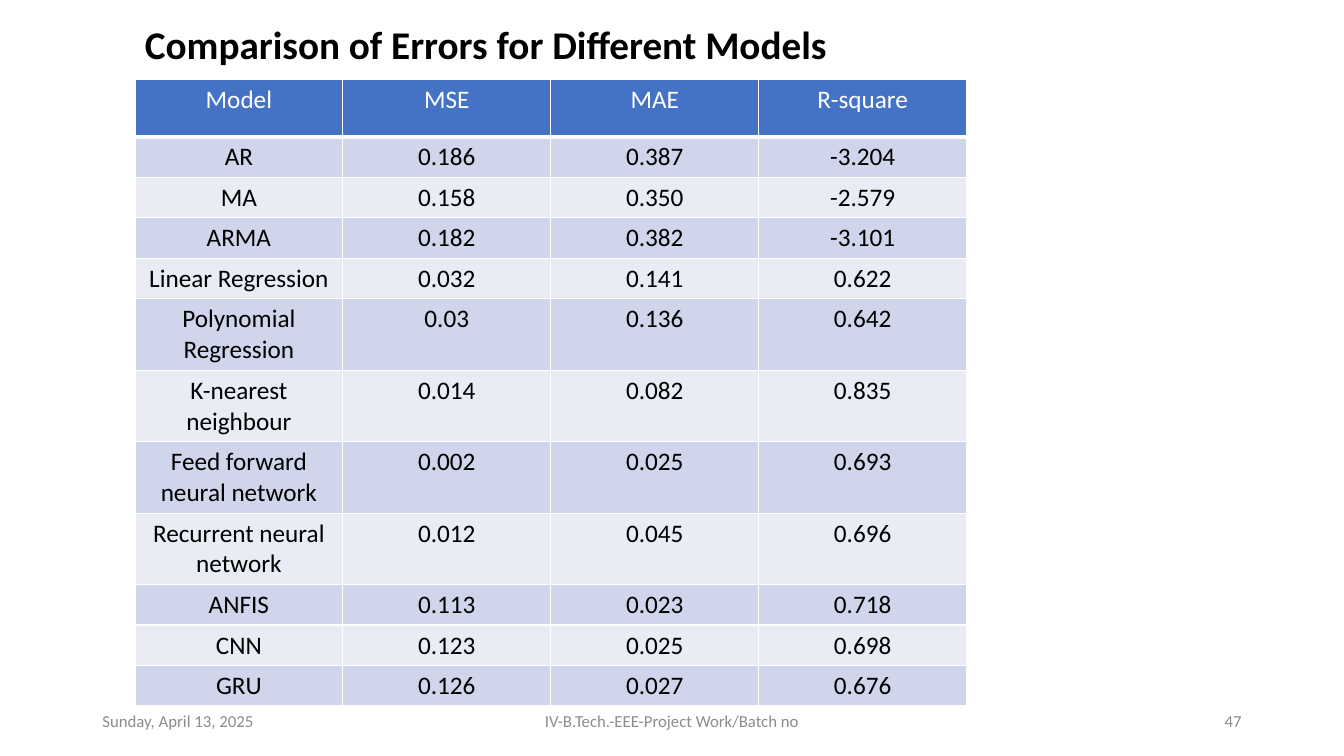
from typing import NamedTuple

from lxml import etree
from pptx import Presentation
from pptx.dml.color import RGBColor
from pptx.enum.text import MSO_ANCHOR, MSO_AUTO_SIZE, PP_ALIGN
from pptx.oxml.ns import qn
from pptx.util import Cm, Pt

LEFT, MID, RIGHT = PP_ALIGN.LEFT, PP_ALIGN.CENTER, PP_ALIGN.RIGHT
TOP, CENTRE = MSO_ANCHOR.TOP, MSO_ANCHOR.MIDDLE
FIT = MSO_AUTO_SIZE.SHAPE_TO_FIT_TEXT
FONT = "Calibri"
WHITE, BLACK, GREY = "FFFFFF", "000000", "8C8C8C"
BLUE, BANDS = "4472C4", ("CFD5EA", "E9EBF5")


class Note(NamedTuple):
    text: str
    left: float
    width: float
    align: PP_ALIGN


class Model(NamedTuple):
    name: str
    mse: str
    mae: str
    square: str
    lines: int = 1


NOTES = [
    Note("Sunday, April 13, 2025", 2.33, 7.62, LEFT),
    Note("IV-B.Tech.-EEE-Project Work/Batch no", 11.22, 11.43, MID),
    Note("47", 23.92, 7.62, RIGHT),
]
HEAD = Model("Model", "MSE", "MAE", "R-square")
MODELS = [
    Model("AR", "0.186", "0.387", "-3.204"),
    Model("MA", "0.158", "0.350", "-2.579"),
    Model("ARMA", "0.182", "0.382", "-3.101"),
    Model("Linear Regression", "0.032", "0.141", "0.622"),
    Model("Polynomial Regression", "0.03", "0.136", "0.642", 2),
    Model("K-nearest neighbour", "0.014", "0.082", "0.835", 2),
    Model("Feed forward neural network", "0.002", "0.025", "0.693", 2),
    Model("Recurrent neural network", "0.012", "0.045", "0.696", 2),
    Model("ANFIS", "0.113", "0.023", "0.718"),
    Model("CNN", "0.123", "0.025", "0.698"),
    Model("GRU", "0.126", "0.027", "0.676"),
]
HEIGHTS = {1: 1.02, 2: 1.8}


def paint(target, code: str) -> None:
    target.rgb = RGBColor.from_string(code)


def write(frame, text: str, size: float, code: str, align: PP_ALIGN,
          bold: bool = False) -> None:
    para = frame.paragraphs[0]
    para.alignment = align
    run = para.add_run()
    run.text = text
    run.font.name, run.font.size, run.font.bold = FONT, Pt(size), bold
    paint(run.font.color, code)


def edge(cell, base: float) -> None:
    """Draw white cell borders, the bottom one base points wide."""
    props = cell._tc.get_or_add_tcPr()
    for spot, (side, width) in enumerate(
            (("lnL", 1), ("lnR", 1), ("lnT", 1), ("lnB", base))):
        line = etree.Element(qn(f"a:{side}"), w=str(Pt(width)))
        fill = etree.SubElement(line, qn("a:solidFill"))
        etree.SubElement(fill, qn("a:srgbClr"), val=WHITE)
        props.insert(spot, line)


def draw_note(slide, note: Note) -> None:
    box = slide.shapes.add_textbox(
        Cm(note.left), Cm(17.65), Cm(note.width), Cm(1.02))
    frame = box.text_frame
    frame.word_wrap, frame.vertical_anchor = True, CENTRE
    write(frame, note.text, 12, GREY, note.align)


def draw_row(table, index: int, model: Model) -> None:
    first = index == 0
    table.rows[index].height = Cm(1.44 if first else HEIGHTS[model.lines])
    for cell, text in zip(table.rows[index].cells, model[:4]):
        cell.fill.solid()
        paint(cell.fill.fore_color, BLUE if first else BANDS[(index - 1) % 2])
        edge(cell, 3 if first else 1)
        write(cell.text_frame, text, 18, WHITE if first else BLACK, MID)


def main() -> None:
    deck = Presentation()
    deck.slide_width, deck.slide_height = Cm(33.87), Cm(19.05)
    slide = deck.slides.add_slide(deck.slide_layouts[5])

    # Title
    title = slide.shapes.title
    title.left, title.top = Cm(3.4), Cm(0.38)
    title.width, title.height = Cm(17.91), Cm(1.45)
    frame = title.text_frame
    frame.word_wrap, frame.auto_size, frame.vertical_anchor = False, FIT, TOP
    write(frame, "Comparison of Errors for Different Models", 28, BLACK,
          LEFT, True)

    # Footer
    for note in NOTES:
        draw_note(slide, note)

    # Error table
    rows = [HEAD, *MODELS]
    table = slide.shapes.add_table(
        len(rows), 4, Cm(3.4), Cm(2.01), Cm(20.96), Cm(15.78)).table
    for index, model in enumerate(rows):
        draw_row(table, index, model)

    deck.save("out.pptx")


if __name__ == "__main__":
    main()
